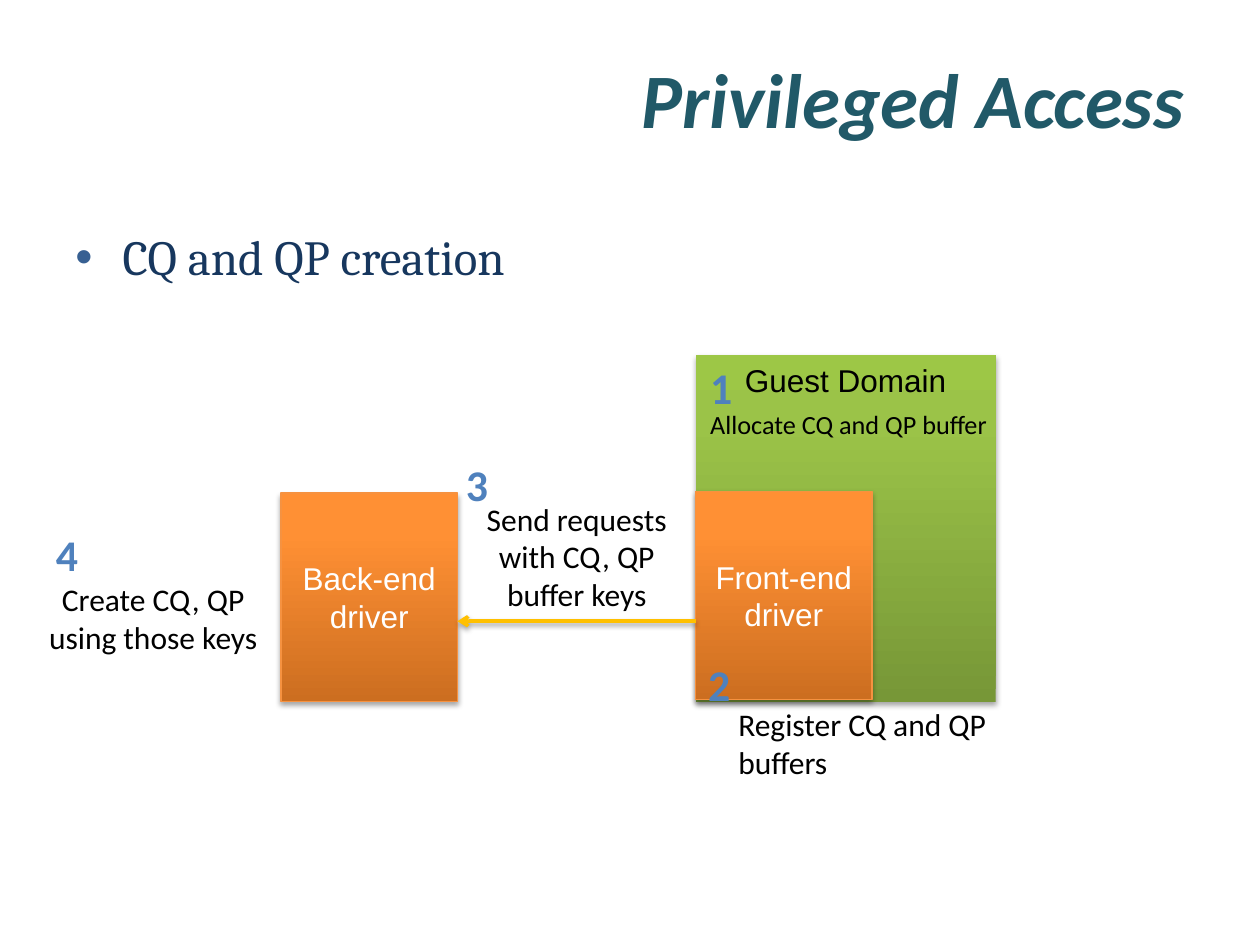
from copy import deepcopy

from lxml.etree import SubElement
from pptx import Presentation
from pptx.dml.color import RGBColor
from pptx.enum.shapes import MSO_CONNECTOR, MSO_SHAPE
from pptx.enum.text import MSO_ANCHOR, PP_ALIGN
from pptx.oxml.ns import qn
from pptx.util import Pt

TEAL = RGBColor(0x21, 0x59, 0x68)
NAVY = RGBColor(0x17, 0x37, 0x5E)
STEEL = RGBColor(0x37, 0x60, 0x92)
BLUE = RGBColor(0x4F, 0x81, 0xBD)
GOLD = RGBColor(0xFF, 0xC0, 0x00)
EDGE = RGBColor(0xF6, 0x92, 0x40)
BLACK = RGBColor(0, 0, 0)
WHITE = RGBColor(0xFF, 0xFF, 0xFF)
GREENS = [RGBColor(0x77, 0x97, 0x37), RGBColor(0x9B, 0xC3, 0x48), RGBColor(0x9D, 0xC7, 0x46)]
ORANGES = [RGBColor(0xCC, 0x6E, 0x20), RGBColor(0xFF, 0x90, 0x34), RGBColor(0xFF, 0x91, 0x36)]
STOPS = [0, 0.8, 1]


def node(parent, tag, **attrs):
    """Append a drawing element with its attributes."""
    return SubElement(parent, qn(tag), {key: str(val) for key, val in attrs.items()})


def write(frame, lines, align, look):
    """Fill a text frame with one formatted paragraph per line."""
    frame.word_wrap = True
    frame.text = "\n".join(lines)
    for para in frame.paragraphs:
        para.alignment = align
        for key, val in look.items():
            if key == "color":
                para.runs[0].font.color.rgb = val
            else:
                setattr(para.runs[0].font, key, val)


def shade(effects, alpha, dist):
    """Add a soft shadow below a shape or line."""
    shadow = node(effects, "a:outerShdw", blurRad=Pt(3.1), dist=Pt(dist),
                  dir=5400000, rotWithShape=0)
    node(node(shadow, "a:srgbClr", val=BLACK), "a:alpha", val=alpha * 1000)


def head(slide, box, text):
    """Place and format the slide title."""
    title = slide.shapes.title
    title.left, title.top, title.width, title.height = map(Pt, box)
    title.text_frame.vertical_anchor = MSO_ANCHOR.MIDDLE
    look = {"name": "Calibri", "size": Pt(44), "bold": True, "italic": True, "color": TEAL}
    write(title.text_frame, [text], PP_ALIGN.RIGHT, look)


def label(slide, box, text, align, look):
    """Add a text box."""
    area = slide.shapes.add_textbox(*map(Pt, box))
    write(area.text_frame, [text], align, look)
    return area


def bullet(slide, box, text):
    """Add the bulleted body line."""
    look = {"name": "Cambria", "size": Pt(28), "color": NAVY}
    para = label(slide, box, text, PP_ALIGN.LEFT, look).text_frame.paragraphs[0]
    para.space_before = Pt(5.6)
    props = para._p.get_or_add_pPr()
    props.set("marL", str(Pt(27)))
    props.set("indent", str(Pt(-27)))
    node(node(props, "a:buClr"), "a:srgbClr", val=STEEL)
    node(props, "a:buFont", typeface="Arial")
    node(props, "a:buChar", char="•")


def block(slide, box, lines, hues, ink, anchor, edge=None):
    """Add a shaded gradient rectangle with centred text."""
    rect = slide.shapes.add_shape(MSO_SHAPE.RECTANGLE, *map(Pt, box))
    rect.fill.gradient()
    rect.fill.gradient_angle = 90
    stops = rect._element.spPr.find(".//" + qn("a:gsLst"))
    stops.append(deepcopy(stops[0]))
    for stop, spot, hue in zip(rect.fill.gradient_stops, STOPS, hues):
        stop.position = spot
        stop.color.rgb = hue
    if edge:
        rect.line.color.rgb = edge
        rect.line.width = Pt(0.75)
    else:
        rect.line.fill.background()
    rect.shadow.inherit = False
    shade(rect._element.spPr.find(qn("a:effectLst")), 35, 1.8)
    rect.text_frame.vertical_anchor = anchor
    write(rect.text_frame, lines, PP_ALIGN.CENTER,
          {"name": "Arial", "size": Pt(18), "color": ink})


def arrow(slide, start, end):
    """Add the gold request arrow."""
    line = slide.shapes.add_connector(MSO_CONNECTOR.STRAIGHT, *map(Pt, start + end))
    line.line.color.rgb = GOLD
    line.line.width = Pt(2)
    props = line._element.spPr
    node(props.find(qn("a:ln")), "a:tailEnd", type="arrow")
    shade(node(props, "a:effectLst"), 38, 1.6)


def step(slide, box, digit, text, shift, wide, size=18, align=PP_ALIGN.LEFT):
    """Add a step's text and its number, shifted from the text box."""
    left, top = box[:2]
    label(slide, box, text, align, {"name": "Calibri", "size": Pt(size), "color": BLACK})
    label(slide, (left + shift[0], top + shift[1], wide, 37.5), digit, PP_ALIGN.CENTER,
          {"name": "Calibri", "size": Pt(25), "bold": True, "color": BLUE})


def flow(slide, box):
    """Draw the driver diagram and its four steps."""
    left, top, width, height = box
    guest = left + width - 171.5
    back = left + 152
    side, tall = 100.8, 119
    block(slide, (guest, top, 171.5, height), ["Guest Domain"], GREENS, BLACK, MSO_ANCHOR.TOP)
    for spot, drop, name in ((back, 78.8, "Back-end"), (guest, 77.8, "Front-end")):
        block(slide, (spot, top + drop, side, tall), [name, "driver"],
              ORANGES, WHITE, MSO_ANCHOR.MIDDLE, EDGE)
    step(slide, (guest + 1.2, top + 26.5, 178, 44), "1", "Allocate CQ and QP buffer",
         (0, -27), 26, 15)
    step(slide, (guest + 17.3, top + 196.5, 178, 51), "2", "Register CQ and QP buffers",
         (-17.3, -27), 26)
    step(slide, (back + 97, top + 79, 144, 73), "3", "Send requests with CQ, QP buffer keys",
         (1.6, -24.2), 20, align=PP_ALIGN.CENTER)
    arrow(slide, (guest, top + 152), (back + side, top + 152))
    step(slide, (left, top + 125, 158, 51), "4", "Create CQ, QP using those keys",
         (16.3, -30), 20, align=PP_ALIGN.CENTER)


def main():
    """Build and save the slide."""
    deck = Presentation()
    deck.slide_width, deck.slide_height = Pt(720), Pt(540)
    slide = deck.slides.add_slide(deck.slide_layouts[5])
    head(slide, (36, 21.6, 648, 68.4), "Privileged Access")
    bullet(slide, (36, 126, 648, 356.4), "CQ and QP creation")
    flow(slide, (8.6, 203, 560.4, 198))
    deck.save("out.pptx")


if __name__ == "__main__":
    main()
